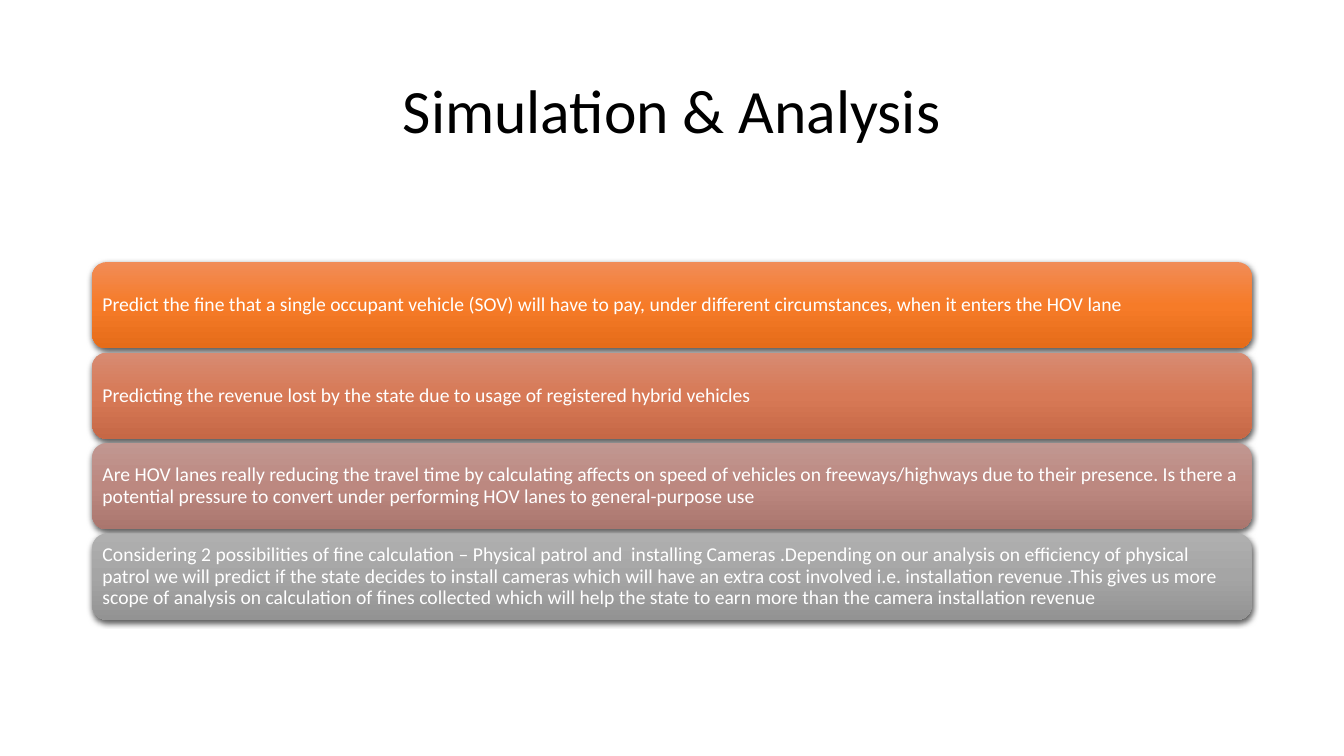
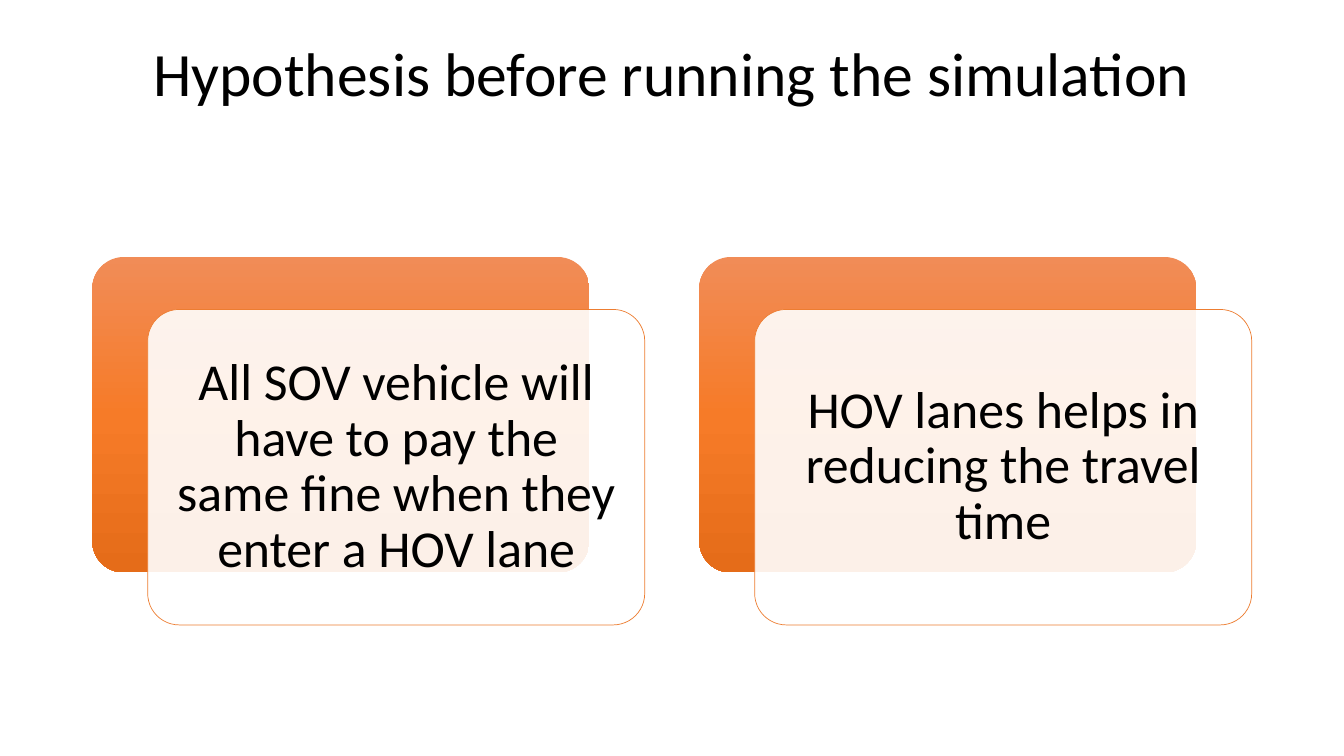
from lxml import etree
from pptx import Presentation
from pptx import util as u
from pptx.dml import color
from pptx.enum import shapes, text
from pptx.oxml import ns

FONT = "Calibri"
BLACK, WHITE, ACCENT = "000000", "FFFFFF", "ED7D31"
ORANGE = ("F18C57", "F67B28", "E56C19")
TERRACOTTA = ("D78B72", "D77956", "C66846")
ROSE = ("C19791", "BC8880", "AA766E")
GRAY = ("AFAFAF", "A5A5A5", "939393")

# Shared layout, in inches
SLIDE_WIDTH, SLIDE_HEIGHT = 13.33, 7.5
WIDTH = 11.5
LEFT = (SLIDE_WIDTH - WIDTH) / 2
TITLE_BOX = (LEFT, 0.4, WIDTH, 1.45)


def rgb(value):
    return color.RGBColor.from_string(value)


def child(parent, tag, **attributes):
    return etree.SubElement(parent, ns.qn(tag), attributes)


def write(shape, words, size=14, ink=BLACK, align=text.PP_ALIGN.CENTER, inset=0.05):
    frame = shape.text_frame
    frame.word_wrap = True
    frame.auto_size = text.MSO_AUTO_SIZE.NONE
    frame.vertical_anchor = text.MSO_ANCHOR.MIDDLE
    frame.margin_left = frame.margin_right = u.Inches(inset)
    frame.margin_top = frame.margin_bottom = u.Inches(inset)
    paragraph = frame.paragraphs[0]
    paragraph.alignment = align
    paragraph.line_spacing = 0.9
    run = paragraph.add_run()
    run.text = words
    run.font.name, run.font.size = FONT, u.Pt(size)
    run.font.color.rgb = rgb(ink)


def rounded(slide, box, radius):
    shape = slide.shapes.add_shape(
        shapes.MSO_SHAPE.ROUNDED_RECTANGLE, *map(u.Inches, box))
    shape.adjustments[0] = radius
    shape.shadow.inherit = False
    shape.line.fill.background()
    return shape


def shade(shape, colors):
    """Fill from top to bottom with evenly spaced colours."""
    shape.fill.gradient()
    shape.fill.gradient_angle = 270
    stops = shape.element.spPr.find(".//" + ns.qn("a:gsLst"))
    for stop in list(stops):
        stops.remove(stop)
    for i, value in enumerate(colors):
        position = 100000 * i // (len(colors) - 1)
        child(child(stops, "a:gs", pos=str(position)), "a:srgbClr", val=value)


def drop_shadow(shape):
    effects = shape.element.spPr.find(ns.qn("a:effectLst"))
    shadow = child(effects, "a:outerShdw", blurRad=str(u.Pt(4.5)),
                   dist=str(u.Pt(1.5)), dir="5400000", algn="ctr", rotWithShape="0")
    child(child(shadow, "a:srgbClr", val=BLACK), "a:alpha", val="63000")


def titled_slide(deck, heading, lift=0):
    """Add a slide; lift reserves space below the heading."""
    slide = deck.slides.add_slide(deck.slide_layouts[5])
    title = slide.shapes.title
    title.left, title.top, title.width, title.height = map(u.Inches, TITLE_BOX)
    write(title, heading, size=44)
    title.text_frame.margin_bottom += u.Inches(lift)
    return slide


def topic_bars(slide, box, topics, gap=0.04):
    left, top, width, height = box
    bar_height = (height - gap * (len(topics) - 1)) / len(topics)
    for i, (topic, colors) in enumerate(topics):
        bar_top = top + i * (bar_height + gap)
        bar = rounded(slide, (left, bar_top, width, bar_height), 0.16667)
        shade(bar, colors)
        drop_shadow(bar)
        write(bar, topic, ink=WHITE, align=text.PP_ALIGN.LEFT, inset=0.06)


def hypothesis_card(slide, box, hypothesis, offset=(0.55, 0.52)):
    left, top, width, height = box
    dx, dy = offset
    size = (width - dx, height - dy)
    # Coloured backing
    shade(rounded(slide, (left, top, *size), 0.1), ORANGE)
    # Translucent front panel
    panel = rounded(slide, (left + dx, top + dy, *size), 0.1)
    panel.fill.solid()
    panel.fill.fore_color.rgb = rgb(WHITE)
    tint = panel.element.spPr.find(ns.qn("a:solidFill"))[0]
    child(tint, "a:alpha", val="90000")
    panel.line.color.rgb = rgb(ACCENT)
    panel.line.width = u.Pt(0.5)
    write(panel, hypothesis, size=37, inset=0.18)


def hypothesis_row(slide, box, hypotheses, gap=0.54):
    left, top, width, height = box
    card_width = (width - gap * (len(hypotheses) - 1)) / len(hypotheses)
    for i, hypothesis in enumerate(hypotheses):
        card_left = left + i * (card_width + gap)
        hypothesis_card(slide, (card_left, top, card_width, height), hypothesis)


TOPICS = [
    ("Predict the fine that a single occupant vehicle (SOV) will have to pay, "
     "under different circumstances, when it enters the HOV lane", ORANGE),
    ("Predicting the revenue lost by the state due to usage of registered "
     "hybrid vehicles", TERRACOTTA),
    ("Are HOV lanes really reducing the travel time by calculating affects on "
     "speed of vehicles on freeways/highways due to their presence. Is there a "
     "potential pressure to convert under performing HOV lanes to "
     "general-purpose use", ROSE),
    ("Considering 2 possibilities of fine calculation – Physical patrol and  "
     "installing Cameras .Depending on our analysis on efficiency of physical "
     "patrol we will predict if the state decides to install cameras which will "
     "have an extra cost involved i.e. installation revenue .This gives us more "
     "scope of analysis on calculation of fines collected which will help the "
     "state to earn more than the camera installation revenue", GRAY),
]
HYPOTHESES = [
    "All SOV vehicle will have to pay the same fine when they enter a HOV lane",
    "HOV lanes helps in reducing the travel time",
]

deck = Presentation()
deck.slide_width, deck.slide_height = u.Inches(SLIDE_WIDTH), u.Inches(SLIDE_HEIGHT)

analysis = titled_slide(deck, "Simulation & Analysis")
topic_bars(analysis, (LEFT, 2.6, WIDTH, 3.55), TOPICS)

expectations = titled_slide(deck, "Hypothesis before running the simulation", lift=0.74)
hypothesis_row(expectations, (LEFT, 2.55, WIDTH, 3.65), HYPOTHESES)

deck.save("out.pptx")
